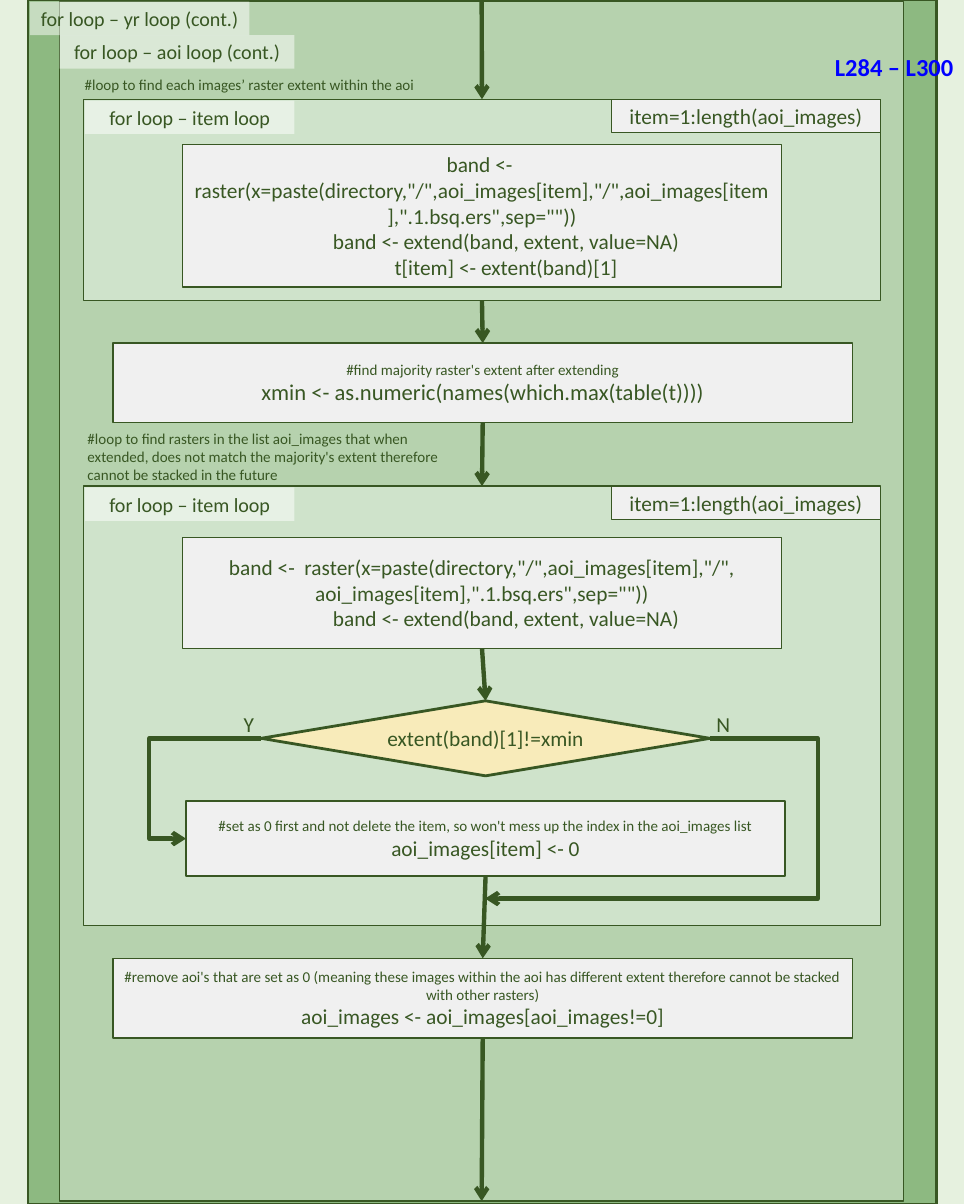
from lxml import etree
from pptx import Presentation
from pptx.dml.color import RGBColor
from pptx.enum.shapes import MSO_CONNECTOR as Link, MSO_SHAPE as Kind
from pptx.enum.text import MSO_ANCHOR as Anchor, PP_ALIGN as Align
from pptx.oxml.ns import qn
from pptx.util import Cm, Pt

DARK, GREY, LIGHT = "385723", "F0F0F0", "CFE3CB"
ITEM = "for loop – item loop"
COUNT = "item=1:length(aoi_images)"

deck = Presentation()
deck.slide_width, deck.slide_height = Cm(27.1), Cm(33.86)
slide = deck.slides.add_slide(deck.slide_layouts[6])
shapes = slide.shapes
color = RGBColor.from_string
slide.background.fill.solid()
slide.background.fill.fore_color.rgb = color("E6F1DF")


def write(text, place, size=17, note=None, kind=None, fill=None, line=None,
          tint=DARK, bold=False, wrap=True, alpha=None):
    area = [Cm(v) for v in place]
    if kind:
        shape = shapes.add_shape(kind, *area)
        shape.shadow.inherit = False
        shape.fill.solid()
        shape.fill.fore_color.rgb = color(fill)
        if alpha:
            rgb = shape.fill._xPr.find(".//" + qn("a:srgbClr"))
            etree.SubElement(rgb, qn("a:alpha"), val=str(alpha * 1000))
        if line:
            shape.line.color.rgb = color(DARK)
            shape.line.width = Pt(line)
        else:
            shape.line.fill.background()
    else:
        shape = shapes.add_textbox(*area)
    if not text:
        return shape
    frame = shape.text_frame
    frame.word_wrap = wrap
    frame.vertical_anchor = Anchor.MIDDLE if kind else Anchor.TOP
    rows = [(note, 12)] if note else []
    rows += [(row, size) for row in text.split("\n")]
    for i, (row, pts) in enumerate(rows):
        para = frame.add_paragraph() if i else frame.paragraphs[0]
        para.alignment = Align.CENTER if kind else Align.LEFT
        run = para.add_run()
        run.text = row
        font = run.font
        font.name, font.size, font.bold = "Calibri", Pt(pts), bold
        font.color.rgb = color(tint)
    return shape


def arrow(start, first, end, last, bend=None, point=(0, 0)):
    x, y = point
    kind = Link.STRAIGHT if bend is None else Link.ELBOW
    link = shapes.add_connector(kind, Cm(x), Cm(y), Cm(x), Cm(y))
    link.begin_connect(start, first)
    if end:
        link.end_connect(end, last)
    link.line.color.rgb = color(DARK)
    link.line.width = Pt(3.5)
    props = link._element.spPr
    etree.SubElement(props.find(qn("a:ln")), qn("a:tailEnd"), type="arrow")
    etree.SubElement(props, qn("a:effectLst"))
    if bend is not None:
        geom = props.find(qn("a:prstGeom"))
        guides = geom.find(qn("a:avLst"))
        if guides is None:
            guides = etree.SubElement(geom, qn("a:avLst"))
        etree.SubElement(guides, qn("a:gd"), name="adj1",
                         fmla=f"val {round(bend * 100000)}")


label = dict(kind=Kind.RECTANGLE, fill="FFFFFF", alpha=50, size=16)
step = dict(kind=Kind.FLOWCHART_PROCESS, fill=GREY, line=1)

write("", (0.79, 0, 25.53, 33.86), kind=Kind.RECTANGLE, fill="8DB981", line=2.25)
aoi = write("", (1.68, 0.05, 23.72, 33.73), kind=Kind.RECTANGLE,
            fill="B6D2AE", line=1)
write("for loop – aoi loop (cont.)", (1.68, 0.99, 6.6, 0.94), **label)
write("for loop – yr loop (cont.)", (0.84, 0.05, 6.17, 0.94), **label)
write("L284 – L300", (23.22, 1.35, 3.91, 1.09), size=19.5, tint="0000FF",
      bold=True, wrap=False)

loops = []
for top, high in ((2.79, 5.66), (13.67, 12.37)):
    loops.append(write("", (2.35, top, 22.4, high), kind=Kind.RECTANGLE,
                       fill=LIGHT, line=1))
    write(ITEM, (2.39, top + 0.04, 5.89, 0.94), **label)
    write(COUNT, (17.2, top, 7.54, 0.94), **{**step, "line": 0.5})
find, drop = loops

write("#loop to find each images’ raster extent within the aoi",
      (2.13, 2.01, 10.92, 0.76), size=12)
write("#loop to find rasters in the list aoi_images that when extended, does not "
      "match the majority's extent therefore cannot be stacked in the future",
      (2.21, 11.94, 10.92, 1.8), size=12)

write('band <-  raster(x=paste(directory,"/",aoi_images[item],"/",'
      'aoi_images[item],".1.bsq.ers",sep=""))\n'
      "          band <- extend(band, extent, value=NA)\n"
      "          t[item] <- extent(band)[1]",
      (5.13, 4.06, 16.84, 4.01), **step)
xmin = write("xmin <- as.numeric(names(which.max(table(t))))",
             (3.18, 9.65, 20.78, 2.24), size=18,
             note="#find majority raster's extent after extending", **step)
band = write('band <-  raster(x=paste(directory,"/",aoi_images[item],"/",\n'
             'aoi_images[item],".1.bsq.ers",sep=""))\n'
             "          band <- extend(band, extent, value=NA)",
             (5.13, 15.11, 16.84, 3.12), **step)
zero = write("aoi_images[item] <- 0", (5.23, 22.53, 16.84, 2.11),
             note="#set as 0 first and not delete the item, so won't mess up "
                  "the index in the aoi_images list", **step)
test = write("extent(band)[1]!=xmin", (7.34, 19.71, 12.62, 2.11),
             kind=Kind.FLOWCHART_DECISION, fill="F8EBBA", line=2.25)
trim = write("aoi_images <- aoi_images[aoi_images!=0]",
             (3.18, 26.95, 20.78, 2.24),
             note="#remove aoi's that are set as 0 (meaning these images within "
                  "the aoi has different extent therefore cannot be stacked "
                  "with other rasters)", **step)
write("Y", (6.6, 19.89, 0.81, 0.99), wrap=False)
write("N", (19.89, 19.89, 0.91, 0.99), wrap=False)

for start, first, end, last in (
        (aoi, 0, find, 0), (find, 2, xmin, 0), (xmin, 2, drop, 0),
        (band, 2, test, 0), (zero, 2, trim, 0), (trim, 2, aoi, 2)):
    arrow(start, first, end, last)
arrow(test, 1, zero, 1, bend=1.49)
arrow(test, 3, None, 0, bend=-0.48, point=(13.64, 25.27))

deck.save("out.pptx")
